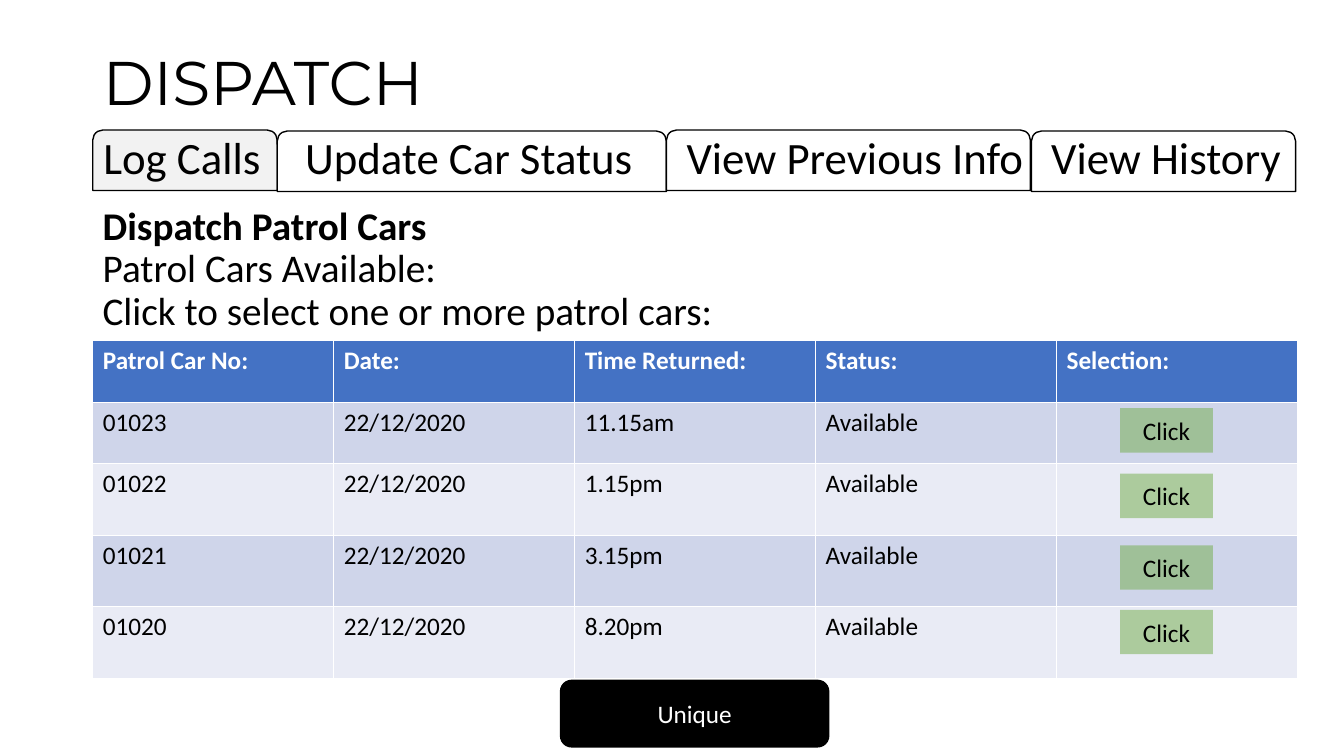
from lxml import etree
from pptx import Presentation
from pptx.dml.color import RGBColor
from pptx.enum import shapes, text
from pptx.oxml.ns import qn
from pptx.util import Inches, Pt

TITLE = "DISPATCH"
# label, tab (left, top, width), label (left, width), fill
TABS = [
    ("Log Calls", (0.92, 1.29, 1.83), (0.92, 1.77), "tab_active"),
    ("Update Car Status", (2.75, 1.3, 3.86), (2.69, 3.92), "white"),
    ("View Previous Info", (6.61, 1.29, 3.61), (6.67, 3.62), "white"),
    ("View History", (10.23, 1.3, 2.62), (10.28, 2.57), "white"),
]
INTRO = ["Dispatch Patrol Cars", "Patrol Cars Available:",
         "Click to select one or more patrol cars:"]
CARS = [
    ("Patrol Car No:", "Date:", "Time Returned:", "Status:", "Selection:"),
    ("01023", "22/12/2020", "11.15am", "Available", ""),
    ("01022", "22/12/2020", "1.15pm", "Available", ""),
    ("01021", "22/12/2020", "3.15pm", "Available", ""),
    ("01020", "22/12/2020", "8.20pm", "Available", ""),
]
ROW_HEIGHTS = [0.61, 0.61, 0.71, 0.71, 0.71]
COL_WIDTH = 2.39
BUTTON_TOPS = [4.05, 4.7, 5.41, 6.05]
COLORS = {"black": "000000", "white": "FFFFFF", "tab_active": "F2F2F2",
          "header": "4472C4", "band_dark": "CFD5EA", "band_light": "E9EBF5",
          "button": "70AD47"}
LEFT = 0.92
MIDDLE, TOP = text.MSO_ANCHOR.MIDDLE, text.MSO_ANCHOR.TOP
CENTER, ALIGN_LEFT = text.PP_ALIGN.CENTER, text.PP_ALIGN.LEFT


def rgb(name):
    return RGBColor.from_string(COLORS[name])


def style(p, size, color="black", bold=False, font="Calibri", align=ALIGN_LEFT, spacing=None):
    p.alignment = align
    p.line_spacing = spacing
    for r in p.runs:
        r.font.name, r.font.size, r.font.bold = font, Pt(size), bold
        r.font.color.rgb = rgb(color)


def add_box(slide, kind, box, fill, line=None):
    sp = slide.shapes.add_shape(kind, *map(Inches, box))
    sp.shadow.inherit = False
    sp.fill.solid()
    sp.fill.fore_color.rgb = rgb(fill)
    if line:
        sp.line.color.rgb = rgb(line)
        sp.line.width = Pt(1)
    else:
        sp.line.fill.background()
    return sp


def label(sp, words, **kwargs):
    """Write one centred line in a shape."""
    tf = sp.text_frame
    tf.word_wrap = True
    tf.vertical_anchor = MIDDLE
    tf.margin_left = tf.margin_right = 0
    tf.text = words
    style(tf.paragraphs[0], align=CENTER, **kwargs)


def add_title(slide):
    title = slide.shapes.title
    title.left, title.top, title.width, title.height = map(Inches, (LEFT, 0.4, 11.5, 0.89))
    title.text_frame.text = TITLE
    title.text_frame.vertical_anchor = MIDDLE
    style(title.text_frame.paragraphs[0], 44, font="Montserrat", spacing=0.9)


def add_tabs(slide):
    for words, (left, top, width), (text_left, text_width), fill in TABS:
        add_box(slide, shapes.MSO_SHAPE.ROUND_2_SAME_RECTANGLE,
                (left, top, width, 0.6), fill, "black")
        tb = slide.shapes.add_textbox(*map(Inches, (text_left, 1.29, text_width, 0.59)))
        label(tb, words, size=32, spacing=0.9)


def add_intro(slide):
    tf = slide.shapes.add_textbox(*map(Inches, (LEFT, 2, 11.5, 4.76))).text_frame
    tf.word_wrap = True
    tf.vertical_anchor = TOP
    tf.text = "\n".join(INTRO)
    for i, p in enumerate(tf.paragraphs):
        style(p, 28, bold=i == 0, spacing=0.9)


def add_car_table(slide):
    cols = len(CARS[0])
    table = slide.shapes.add_table(len(CARS), cols, Inches(LEFT), Inches(3.38),
                                   Inches(COL_WIDTH * cols), Inches(sum(ROW_HEIGHTS))).table
    for column in table.columns:
        column.width = Inches(COL_WIDTH)
    for i, (row, height) in enumerate(zip(CARS, ROW_HEIGHTS)):
        table.rows[i].height = Inches(height)
        header = i == 0
        fill = "header" if header else "band_dark" if i % 2 else "band_light"
        for j, words in enumerate(row):
            cell = table.cell(i, j)
            cell.fill.solid()
            cell.fill.fore_color.rgb = rgb(fill)
            cell.text_frame.text = words
            style(cell.text_frame.paragraphs[0], 18, "white" if header else "black", header)


def add_buttons(slide):
    unique = add_box(slide, shapes.MSO_SHAPE.FLOWCHART_ALTERNATE_PROCESS,
                     (5.56, 6.75, 2.66, 0.66), "black", "black")
    label(unique, "Unique", size=18, color="white")
    for top in BUTTON_TOPS:
        button = add_box(slide, shapes.MSO_SHAPE.RECTANGLE, (11.11, top, 0.92, 0.44), "button")
        color = button.fill._xPr.find(qn("a:solidFill"))[0]
        etree.SubElement(color, qn("a:alpha")).set("val", "50000")
        label(button, "Click", size=18)


def main():
    prs = Presentation()
    prs.slide_width, prs.slide_height = Inches(13.33), Inches(7.5)
    slide = prs.slides.add_slide(prs.slide_layouts[5])
    add_title(slide)
    add_tabs(slide)
    add_intro(slide)
    add_car_table(slide)
    add_buttons(slide)
    prs.save("out.pptx")


if __name__ == "__main__":
    main()
